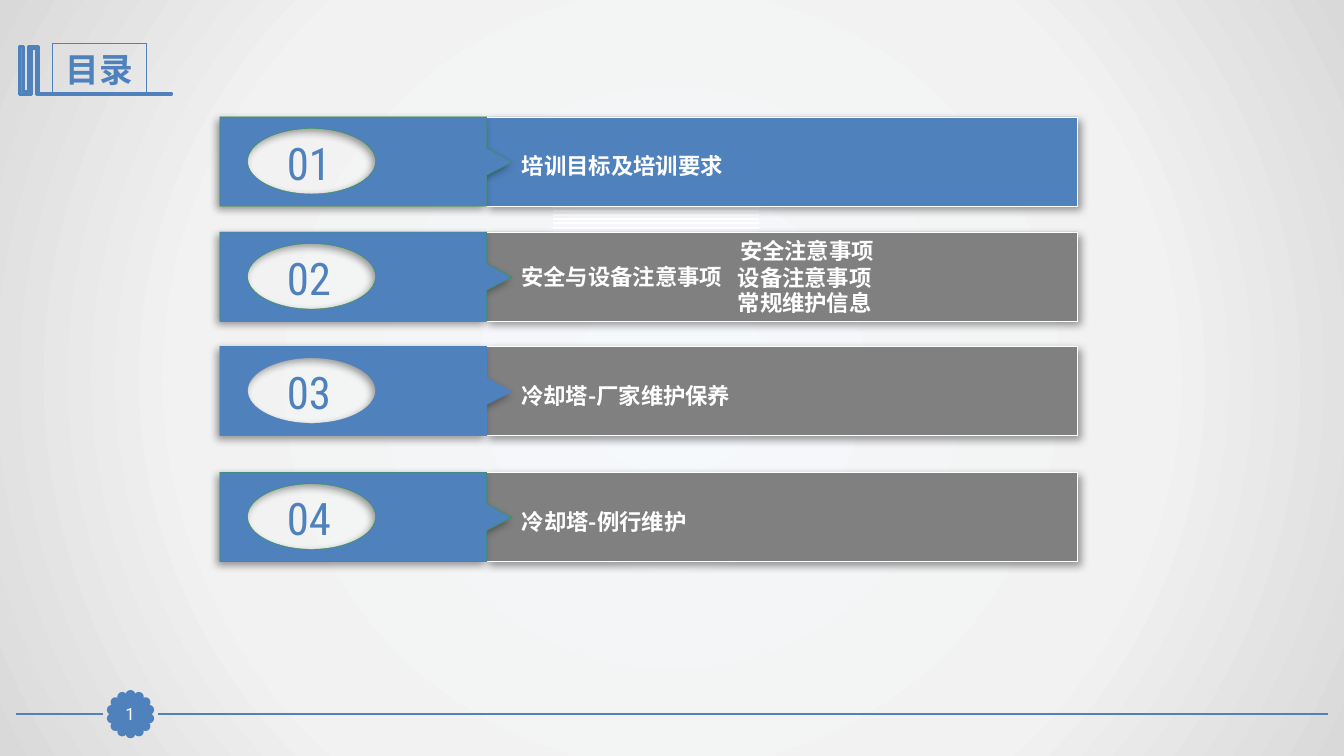
from math import cos, pi, sin

from lxml import etree
from pptx import Presentation
from pptx.dml.color import RGBColor
from pptx.enum.shapes import MSO_CONNECTOR, MSO_SHAPE
from pptx.enum.text import MSO_ANCHOR, MSO_AUTO_SIZE, PP_ALIGN
from pptx.oxml.ns import qn
from pptx.util import Emu, Inches, Pt

CELL = Inches(1) // 12
COLUMNS, ROWS = 160, 90
RECT, OVAL, STRAIGHT = MSO_SHAPE.RECTANGLE, MSO_SHAPE.OVAL, MSO_CONNECTOR.STRAIGHT
LEFT, CENTER = PP_ALIGN.LEFT, PP_ALIGN.CENTER
TOP, MIDDLE = MSO_ANCHOR.TOP, MSO_ANCHOR.MIDDLE
GROW, FIXED = MSO_AUTO_SIZE.SHAPE_TO_FIT_TEXT, MSO_AUTO_SIZE.NONE
BLUE, GREY, WHITE, GREEN, CYAN = "4F81BD", "808080", "FFFFFF", "339933", "28A9D6"
CHINESE, BODY, CONDENSED = "Noto Sans CJK SC", "Roboto", "Roboto Condensed"
BACKDROP = [(0, "F6F9FC"), (63, "F2F2F2"), (100, "D9D9D9")]

BAR_HEIGHT = 10.64
CHAPTERS = [
    ("01", "培训目标及培训要求", 13.92, 60.96, 17.52, BLUE, GREEN, BODY),
    ("02", "安全与设备注意事项", 27.62, 60.86, 30.72, GREY, GREEN, BODY),
    ("03", "冷却塔-厂家维护保养", 41.22, 60.86, 44.88, GREY, BLUE, CHINESE),
    ("04", "冷却塔-例行维护", 56.22, 60.96, 59.88, GREY, GREEN, CHINESE),
]
SAFETY_TOPICS = [
    ("安全注意事项", 86.92, 27.6),
    ("设备注意事项", 86.64, 30.84),
    ("常规维护信息", 86.64, 33.84),
]
BOOK_ICON = [
    (4.44, 5.52), (4.56, 5.52), (4.56, 11.08), (20.48, 11.08), (20.48, 11.28),
    (4.32, 11.28), (4.32, 5.76), (3.72, 5.76), (3.72, 11.28), (2.28, 11.28),
    (2.28, 5.52), (2.76, 5.52), (2.76, 10.92), (3.36, 10.92), (3.36, 5.52),
]
QUARTER_CURVES = [
    [(-0.55, -1), (-1, -0.55), (-1, 0)],
    [(-1, 0.55), (-0.55, 1), (0, 1)],
    [(0.55, 1), (1, 0.55), (1, 0)],
    [(1, -0.55), (0.55, -1), (0, -1)],
]


def color(code):
    """Turn a hex string into a colour."""
    return RGBColor.from_string(code)


def grid(*cells):
    """Convert grid cells to lengths."""
    return [Emu(round(cell * CELL)) for cell in cells]


def add_element(parent, tag, **attributes):
    """Append a drawing element with the given attributes."""
    values = {name: str(value) for name, value in attributes.items()}
    return etree.SubElement(parent, qn(f"a:{tag}"), values)


def paint_background(slide):
    """Fill the slide with a round gradient."""
    slide.background.fill.gradient()
    gradient = slide.element.xpath(".//p:bgPr/a:gradFill")[0]
    for child in list(gradient):
        gradient.remove(child)
    stops = add_element(gradient, "gsLst")
    for share, code in BACKDROP:
        stop = add_element(stops, "gs", pos=share * 1000)
        add_element(stop, "srgbClr", val=code)
    circle = add_element(gradient, "path", path="circle")
    add_element(circle, "fillToRect", l=50000, t=50000, r=50000, b=50000)


def style(shape, fill, line, width):
    """Set fill and outline, and drop the theme shadow."""
    shape.shadow.inherit = False
    if fill:
        shape.fill.solid()
        shape.fill.fore_color.rgb = color(fill)
    else:
        shape.fill.background()
    shape.line.color.rgb = color(line)
    shape.line.width = Pt(width)
    return shape


def cast_shadow(shape, angle):
    """Give a shape a soft shadow towards an angle."""
    effects = shape.element.spPr.find(qn("a:effectLst"))
    shadow = add_element(effects, "outerShdw", blurRad=Pt(6), dist=Pt(3),
                         dir=angle * 60000, algn="ctr", rotWithShape=0)
    tone = add_element(shadow, "srgbClr", val="000000")
    add_element(tone, "alpha", val=40000)


def add_block(slide, kind, place, fill, line, width):
    """Add a preset shape on the grid."""
    return style(slide.shapes.add_shape(kind, *grid(*place)), fill, line, width)


def add_outline(slide, points, fill, line, width):
    """Add a closed freeform."""
    start, *rest = [grid(*point) for point in points]
    builder = slide.shapes.build_freeform(*start)
    builder.add_line_segments(rest, close=True)
    return style(builder.convert_to_shape(), fill, line, width)


def cut_oval(shape, x, y, radius_x, radius_y):
    """Cut an oval window into a freeform, measured from its corner."""
    outline = shape.element.xpath(".//a:pathLst/a:path")[0]

    def add_point(parent, across, down):
        left, top = grid(x + across * radius_x, y + down * radius_y)
        add_element(parent, "pt", x=int(left), y=int(top))

    add_point(add_element(outline, "moveTo"), 0, -1)
    for curve in QUARTER_CURVES:
        bezier = add_element(outline, "cubicBezTo")
        for across, down in curve:
            add_point(bezier, across, down)
    add_element(outline, "close")


def add_rule(slide, start, end, y, line, width):
    """Add a horizontal line."""
    rule = slide.shapes.add_connector(STRAIGHT, *grid(start, y, end, y))
    rule.line.color.rgb = color(line)
    rule.line.width = Pt(width)
    add_element(rule.element.spPr, "effectLst")


def write(shape, text, font, size, tint, bold=False, align=LEFT, anchor=TOP,
          **frame_format):
    """Put one formatted line of text into a shape."""
    frame = shape.text_frame
    settings = {"word_wrap": True, "vertical_anchor": anchor, "auto_size": GROW}
    for name, value in {**settings, **frame_format}.items():
        setattr(frame, name, value)
    paragraph = frame.paragraphs[0]
    paragraph.alignment = align
    run = paragraph.add_run()
    run.text = text
    for name, value in {"name": font, "size": Pt(size), "bold": bold}.items():
        setattr(run.font, name, value)
    run.font.color.rgb = color(tint)
    add_element(run.font._element, "ea", typeface=CHINESE)


def add_label(slide, place, text, font, size, tint, **text_format):
    """Add a text box on the grid."""
    box = slide.shapes.add_textbox(*grid(*place))
    write(box, text, font, size, tint, **text_format)


def add_topic(slide, text, left, top, font):
    """Add a bold white topic line."""
    add_label(slide, (left, top, 67.32, 4.44), text, font, 16, WHITE, bold=True)


def add_chapter(slide, number, topic, top, topic_left, topic_top, fill, edge, font):
    """Add one contents row: bar, pointed tab, number and topic."""
    bar = add_block(slide, RECT, (57.78, top, 70.44, BAR_HEIGHT), fill, WHITE, 0.25)
    cast_shadow(bar, 45)
    bottom = top + BAR_HEIGHT
    tab = add_outline(slide, [
        (26.18, top), (57.96, top), (57.96, top + 3.72), (60.96, top + 5.4),
        (57.96, top + 6.96), (57.96, bottom), (26.18, bottom),
    ], BLUE, edge, 0.25)
    cut_oval(tab, 10.92, 5.28, 7.62, 3.9)
    cast_shadow(tab, 135)
    add_label(slide, (30.72, top + 1.56, 12.12, 7.68), number, CONDENSED, 32, BLUE,
              align=CENTER, anchor=MIDDLE)
    add_topic(slide, topic, topic_left, topic_top, font)


def add_heading(slide):
    """Add the book icon and the framed heading."""
    add_outline(slide, BOOK_ICON, CYAN, BLUE, 2)
    heading = add_block(slide, RECT, (6.24, 5.16, 11.16, 6.06), None, BLUE, 0.75)
    write(heading, "目录", CONDENSED, 24, BLUE, bold=True, align=CENTER, anchor=MIDDLE)


def add_footer(slide):
    """Add the footer line with its scalloped badge edge."""
    for start, end in ((18.76, 158.1), (1.86, 12.24)):
        add_rule(slide, start, end, 85.02, BLUE, 1.25)
    dot, scallops = 0.84, 14
    for scallop in range(scallops):
        turn = 2 * pi * scallop / scallops
        x, y = 15.54 + 2.28 * sin(turn), 85.02 - 2.28 * cos(turn)
        add_block(slide, OVAL, (x - dot / 2, y - dot / 2, dot, dot), BLUE, BLUE, 2)


def add_page_number(slide):
    """Add the page number at the badge centre."""
    page = add_block(slide, RECT, (13.56, 83.16, 3.84, 3.72), BLUE, BLUE, 0.75)
    margins = {f"margin_{side}": 0 for side in ("left", "top", "right", "bottom")}
    write(page, "1", BODY, 12, WHITE, align=CENTER, anchor=MIDDLE,
          auto_size=FIXED, **margins)


def main():
    """Build the contents slide and save it."""
    deck = Presentation()
    deck.slide_width, deck.slide_height = grid(COLUMNS, ROWS)
    slide = deck.slides.add_slide(deck.slide_layouts[6])
    paint_background(slide)
    add_footer(slide)
    add_heading(slide)
    for stripe in range(7):
        add_rule(slide, 65.8, 90.36, 24.6 + stripe / 2, WHITE, 1.5)
    for chapter in CHAPTERS:
        add_chapter(slide, *chapter)
    for topic, left, top in SAFETY_TOPICS:
        add_topic(slide, topic, left, top, BODY)
    add_page_number(slide)
    deck.save("out.pptx")


if __name__ == "__main__":
    main()
